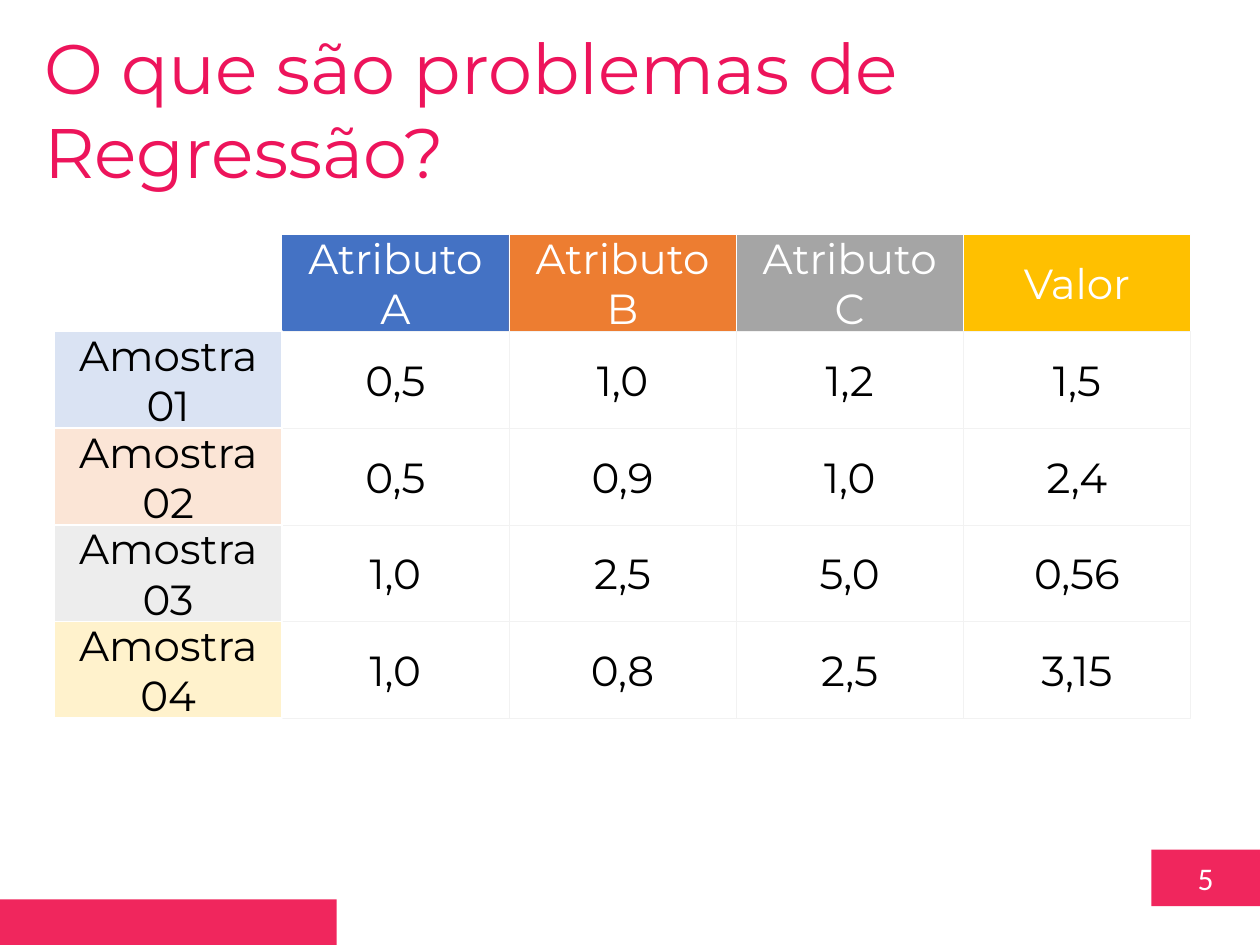
"""Builds the slide that presents a regression problem as a grid of samples."""
from pptx import Presentation
from pptx.dml.color import RGBColor
from pptx.enum.shapes import MSO_SHAPE as Shape
from pptx.enum.text import MSO_ANCHOR as Anchor, MSO_AUTO_SIZE as AutoSize, PP_ALIGN as Align
from pptx.util import Cm, Pt

COLORS = {
    "white": "FFFFFF", "black": "000000", "band": "F0265D", "title": "ED145B", "grid": "F2F2F2",
    "blue": "4472C4", "orange": "ED7D31", "gray": "A5A5A5", "gold": "FFC000",
    "pale_blue": "DAE3F3", "pale_orange": "FBE5D6", "pale_gray": "EDEDED", "pale_gold": "FFF2CC",
}
HEADERS = [("Atributo A", "blue"), ("Atributo B", "orange"), ("Atributo C", "gray"), ("Valor", "gold")]
SAMPLES = [
    ("Amostra 01", "pale_blue", ["0,5", "1,0", "1,2", "1,5"]),
    ("Amostra 02", "pale_orange", ["0,5", "0,9", "1,0", "2,4"]),
    ("Amostra 03", "pale_gray", ["1,0", "2,5", "5,0", "0,56"]),
    ("Amostra 04", "pale_gold", ["1,0", "0,8", "2,5", "3,15"]),
]
GRID_LEFT, GRID_TOP = 1.1, 4.73
CELL_WIDTH, CELL_HEIGHT = 4.58, 1.95


def color(name):
    return RGBColor.from_string(COLORS[name])


def apply(target, values):
    for name, value in values.items():
        setattr(target, name, value)


class SlideBuilder:
    """Holds the text style and the current slide."""

    def __init__(self, slide, font="Montserrat", size=24):
        self.slide, self.font, self.size = slide, font, size

    def add_text(self, shape, text, ink, align, frame_format, **font_format):
        apply(shape.text_frame, {"word_wrap": True, **frame_format})
        paragraph = shape.text_frame.paragraphs[0]
        paragraph.alignment = align
        run = paragraph.add_run()
        run.text = text
        apply(run.font, {"name": self.font, "size": Pt(self.size), **font_format})
        run.font.color.rgb = color(ink)

    def title(self, text, *box):
        shape = self.slide.shapes.add_textbox(*map(Cm, box))
        frame_format = {"auto_size": AutoSize.SHAPE_TO_FIT_TEXT}
        self.add_text(shape, text, "title", Align.LEFT, frame_format, size=Pt(40))

    def rectangle(self, box, fill=None, line=None, line_width=0.25):
        shape = self.slide.shapes.add_shape(Shape.RECTANGLE, *map(Cm, box))
        shape.shadow.inherit = False
        if fill:
            shape.fill.solid()
            shape.fill.fore_color.rgb = color(fill)
        else:
            shape.fill.background()
        if line:
            shape.line.color.rgb = color(line)
            shape.line.width = Pt(line_width)
        else:
            shape.line.fill.background()
        return shape

    def page_number(self, text, *box):
        shape = self.rectangle(box, "band")
        self.add_text(shape, text, "white", Align.CENTER, {"vertical_anchor": Anchor.MIDDLE},
                      name="Calibri", size=Pt(18))

    def cell(self, row, column, text, ink="black", fill=None, line="white", line_width=0.25):
        box = (GRID_LEFT + column * CELL_WIDTH, GRID_TOP + row * CELL_HEIGHT, CELL_WIDTH, CELL_HEIGHT)
        shape = self.rectangle(box, fill, line, line_width)
        frame_format = {"vertical_anchor": Anchor.MIDDLE}
        if not fill:
            sides = ("left", "top", "right", "bottom")
            frame_format.update({f"margin_{side}": Cm(0) for side in sides})
        self.add_text(shape, text, ink, Align.CENTER, frame_format)


def main():
    presentation = Presentation()
    apply(presentation, {"slide_width": Cm(25.4), "slide_height": Cm(19.05)})
    builder = SlideBuilder(presentation.slides.add_slide(presentation.slide_layouts[6]))

    builder.page_number("5", 23.21, 17.13, 2.19, 1.14)
    builder.rectangle((0, 18.13, 6.79, 0.92), "band")
    builder.title("O que são problemas de Regressão?", 0.64, 0.38, 21.26, 1.96)

    for column, (header, fill) in enumerate(HEADERS, 1):
        builder.cell(0, column, header, "white", fill)
    for row, (sample, fill, values) in enumerate(SAMPLES, 1):
        for column, value in enumerate(values, 1):
            builder.cell(row, column, value, line="grid")
        builder.cell(row, 0, sample, fill=fill, line_width=1)

    presentation.save("out.pptx")


if __name__ == "__main__":
    main()
